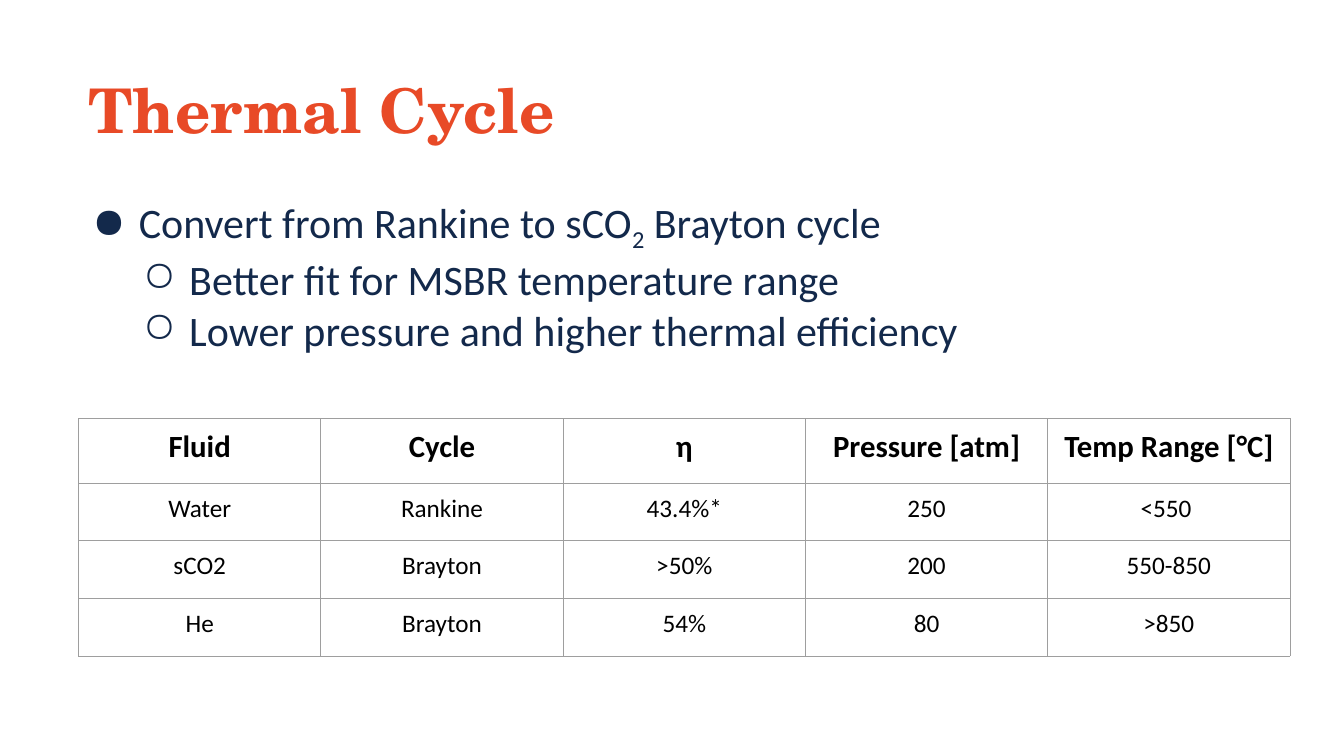
from lxml.etree import SubElement
from pptx import Presentation
from pptx.dml.color import RGBColor as RGB
from pptx.enum.text import MSO_ANCHOR as ANCHOR, PP_ALIGN as ALIGN
from pptx.oxml.ns import qn
from pptx.util import Cm, Pt

COLORS = {"title": "E84A27", "body": "13294B", "cell": "000000",
          "border": "9E9E9E", "paper": "FFFFFF"}

FORMATS = {
    "title": {"name": "TeX Gyre Schola", "size": Pt(44), "bold": True},
    "body": {"name": "Calibri", "size": Pt(30), "bold": False},
    "header": {"name": "Calibri", "size": Pt(22), "bold": True},
    "cell": {"name": "Calibri", "size": Pt(18), "bold": False},
}

LEFT, WIDTH = Cm(1.98), Cm(30.53)
PAD = Cm(0.25)

# Level and runs of each bullet; a run is its text and whether it is a subscript
BULLETS = [
    (0, [("Convert from Rankine to sCO", False), ("2", True), (" Brayton cycle", False)]),
    (1, [("Better fit for MSBR temperature range", False)]),
    (1, [("Lower pressure and higher thermal efficiency", False)]),
]

ROWS = [
    ["Fluid", "Cycle", "η", "Pressure [atm]", "Temp Range [°C]"],
    ["Water", "Rankine", "43.4%*", "250", "<550 "],
    ["sCO2", "Brayton", ">50%", "200", "550-850"],
    ["He", "Brayton", "54%", "80", ">850"],
]


def add_run(p, text, style, color):
    r = p.add_run()
    r.text = text
    for key, value in FORMATS[style].items():
        setattr(r.font, key, value)
    r.font.color.rgb = RGB.from_string(COLORS[color])
    return r


def add_box(s, top, height, pad_y, anchor):
    tf = s.shapes.add_textbox(LEFT, top, WIDTH, height).text_frame
    frame = {"word_wrap": True, "vertical_anchor": anchor,
             "margin_left": PAD, "margin_right": PAD,
             "margin_top": pad_y, "margin_bottom": pad_y}
    for key, value in frame.items():
        setattr(tf, key, value)
    return tf


def add_bullet(p, level):
    p.level = level
    pPr = p._p.get_or_add_pPr()
    pPr.set("marL", str(Cm(1.27 * (level + 1))))
    pPr.set("indent", str(-Cm(1.17)))
    color = SubElement(pPr, qn("a:buClr"))
    SubElement(color, qn("a:srgbClr"), val=COLORS["body"])
    SubElement(pPr, qn("a:buChar"), char="●○"[level])


def add_title(s, text):
    p = add_box(s, Cm(1.02), Cm(3.68), Cm(0.13), ANCHOR.MIDDLE).paragraphs[0]
    p.line_spacing = 0.9
    add_run(p, text, "title", "title")


def add_bullets(s, bullets):
    tf = add_box(s, Cm(4.7), Cm(4.83), PAD, ANCHOR.TOP)
    for i, (level, runs) in enumerate(bullets):
        p = tf.add_paragraph() if i else tf.paragraphs[0]
        add_bullet(p, level)
        for text, subscript in runs:
            r = add_run(p, text, "body", "body")
            if subscript:
                r._r.get_or_add_rPr().set("baseline", "-25000")


def format_cell(cell, text, style):
    for side in ("left", "right", "top", "bottom"):
        setattr(cell, f"margin_{side}", PAD)
    p = cell.text_frame.paragraphs[0]
    p.alignment = ALIGN.CENTER
    add_run(p, text, style, "cell")
    # Borders come before the fill in the cell properties
    tcPr = cell._tc.get_or_add_tcPr()
    for edge in ("lnL", "lnR", "lnT", "lnB"):
        line = SubElement(tcPr, qn(f"a:{edge}"), w=str(Pt(0.75)))
        fill = SubElement(line, qn("a:solidFill"))
        SubElement(fill, qn("a:srgbClr"), val=COLORS["border"])
    cell.fill.solid()
    cell.fill.fore_color.rgb = RGB.from_string(COLORS["paper"])


def add_cycle_table(s, rows):
    header_height, row_height = Cm(1.63), Cm(1.45)
    height = header_height + row_height * (len(rows) - 1)
    table = s.shapes.add_table(len(rows), len(rows[0]), LEFT, Cm(10.55),
                               WIDTH, height).table
    table.horz_banding = False
    for i, row in enumerate(rows):
        table.rows[i].height = row_height if i else header_height
        for j, text in enumerate(row):
            format_cell(table.cell(i, j), text, "cell" if i else "header")


def main():
    prs = Presentation()
    prs.slide_width, prs.slide_height = Cm(33.87), Cm(19.05)
    s = prs.slides.add_slide(prs.slide_layouts[6])

    # Heading, key points, then the comparison of fluids
    add_title(s, "Thermal Cycle")
    add_bullets(s, BULLETS)
    add_cycle_table(s, ROWS)

    prs.save("out.pptx")


if __name__ == "__main__":
    main()
